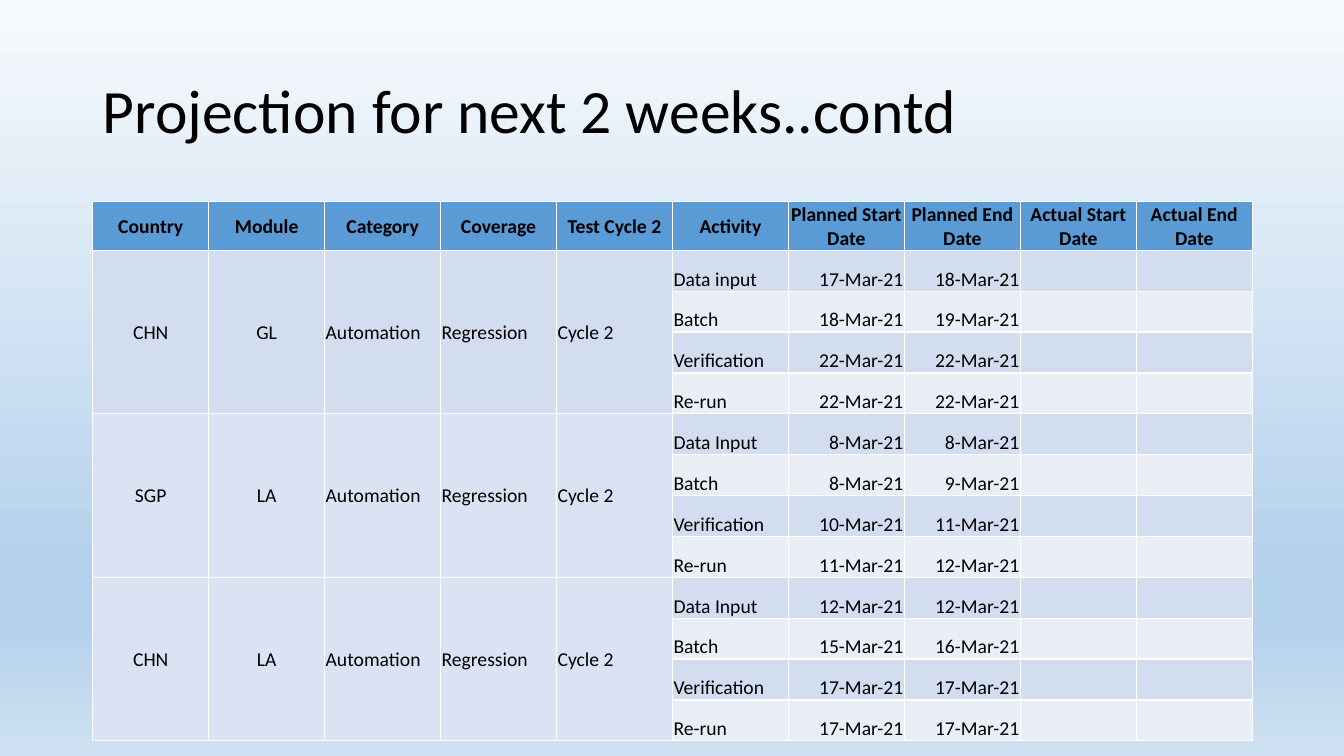
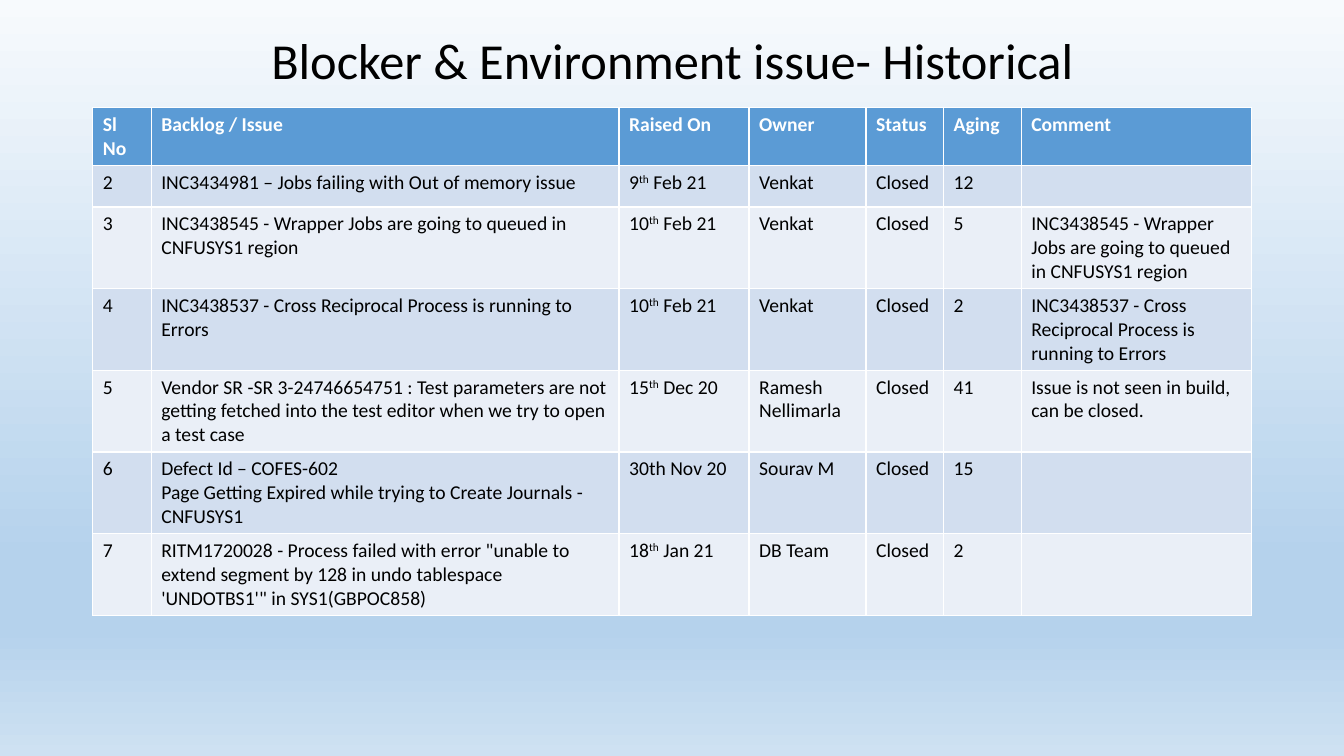
from copy import deepcopy
from pptx import Presentation
from pptx.dml.color import RGBColor as RGB
from pptx.enum.text import MSO_ANCHOR as Anchor, PP_ALIGN as Align
from pptx.util import Inches, Pt

WIDE, HIGH = 13.33, 7.5
LEFT, SPAN = 0.92, 11.5
FONT = "Calibri"
BLACK = RGB(0x00, 0x00, 0x00)
WHITE = RGB(0xFF, 0xFF, 0xFF)
BLUE = RGB(0x5B, 0x9B, 0xD5)
DARK = RGB(0xD2, 0xDE, 0xEF)
PALE = RGB(0xEA, 0xEF, 0xF7)
GROUP = RGB(0xDA, 0xE3, 0xF3)
SKY = [(0, RGB(0xF7, 0xFA, 0xFD)), (0.74, RGB(0xB5, 0xD2, 0xEC)),
       (0.83, RGB(0xB5, 0xD2, 0xEC)), (1, RGB(0xCE, 0xE1, 0xF2))]
TIGHT = (0.01, 0.01, 0.01, 0)
ROOMY = (0.1, 0.05, 0.1, 0.05)

PLAN_HEAD = ["Country", "Module", "Category", "Coverage", "Test Cycle 2",
             "Activity", "Planned Start Date", "Planned End Date",
             "Actual Start Date", "Actual End Date"]
# Country, module, fill, then activity with the planned days of March
PLAN = [
    ("CHN", "GL", DARK, [("Data input", 17, 18), ("Batch", 18, 19),
                         ("Verification", 22, 22), ("Re-run", 22, 22)]),
    ("SGP", "LA", GROUP, [("Data Input", 8, 8), ("Batch", 8, 9),
                          ("Verification", 10, 11), ("Re-run", 11, 12)]),
    ("CHN", "LA", GROUP, [("Data Input", 12, 12), ("Batch", 15, 16),
                          ("Verification", 17, 17), ("Re-run", 17, 17)]),
]
WRAP = "INC3438545 - Wrapper Jobs are going to queued in CNFUSYS1 region"
CROSS = "INC3438537 - Cross Reciprocal Process is running to Errors"
# Text between carets is raised
ISSUES = [
    ["Sl No", "Backlog / Issue", "Raised On", "Owner", "Status", "Aging",
     "Comment"],
    ["2", "INC3434981 – Jobs failing with Out of memory issue",
     "9^th^ Feb 21", "Venkat", "Closed", "12", ""],
    ["3", WRAP, "10^th^ Feb 21", "Venkat", "Closed", "5", WRAP],
    ["4", CROSS, "10^th^ Feb 21", "Venkat", "Closed", "2", CROSS],
    ["5", "Vendor SR -SR 3-24746654751 : Test parameters are not getting "
     "fetched into the test editor when we try to open a test case",
     "15^th^ Dec 20", "Ramesh Nellimarla", "Closed", "41",
     "Issue is not seen in build, can be closed."],
    ["6", "Defect Id – COFES-602\nPage Getting Expired while trying to "
     "Create Journals - CNFUSYS1",
     "30th Nov 20", "Sourav M", "Closed", "15", ""],
    ["7", "RITM1720028 - Process failed with error \"unable to extend segment "
     "by 128 in undo tablespace 'UNDOTBS1'\" in SYS1(GBPOC858)",
     "18^th^ Jan 21", "DB Team", "Closed", "2", ""],
]


def set_sky(deck):
    """Give the master its vertical gradient."""
    fill = deck.slide_master.background.fill
    fill.gradient()
    fill.gradient_angle = 270
    stops = fill.gradient_stops
    first = stops[0]._gs
    for _ in range(len(SKY) - len(stops)):
        first.addnext(deepcopy(first))
    for stop, (place, hue) in zip(fill.gradient_stops, SKY):
        stop.position = place
        stop.color.rgb = hue


def style(par, size, hue, bold=False, align=Align.LEFT):
    """Format one paragraph."""
    par.alignment = align
    font = par.font
    font.name, font.size, font.bold = FONT, Pt(size), bold
    font.color.rgb = hue


def add_page(deck, text, top, tall, size, align):
    """Add a slide with its title."""
    page = deck.slides.add_slide(deck.slide_layouts[5])
    title = page.shapes.title
    title.left, title.top = Inches(LEFT), Inches(top)
    title.width, title.height = Inches(SPAN), Inches(tall)
    frame = title.text_frame
    frame.text = text
    frame.vertical_anchor = Anchor.MIDDLE
    par = frame.paragraphs[0]
    style(par, size, BLACK, align=align)
    par.line_spacing = 0.9
    return page


def add_grid(page, top, cols, rows):
    """Add an empty table with the given widths and heights."""
    grid = page.shapes.add_table(
        len(rows), len(cols), Inches(LEFT), Inches(top),
        Inches(SPAN), Inches(sum(rows))).table
    for col, wide in zip(grid.columns, cols):
        col.width = Inches(wide)
    for row, tall in zip(grid.rows, rows):
        row.height = Inches(tall)
    return grid


def put(cell, text, fill, inset, anchor=Anchor.TOP, align=Align.LEFT,
        hue=BLACK, bold=False):
    """Fill one cell with a colour and its text."""
    cell.fill.solid()
    cell.fill.fore_color.rgb = fill
    (cell.margin_left, cell.margin_top,
     cell.margin_right, cell.margin_bottom) = map(Inches, inset)
    cell.vertical_anchor = anchor
    frame = cell.text_frame
    for i, line in enumerate(text.split("\n")):
        par = frame.add_paragraph() if i else frame.paragraphs[0]
        style(par, 14, hue, bold, align)
        for j, part in enumerate(line.split("^") if line else []):
            run = par.add_run()
            run.text = part
            if j % 2:
                run._r.get_or_add_rPr().set("baseline", "30000")


def band(row):
    """Return the fill of a body row."""
    return DARK if row % 2 else PALE


def add_plan(page):
    """Add the table of planned dates."""
    head, total, count = 0.47, 5.34, sum(len(part[3]) for part in PLAN)
    wide = SPAN / len(PLAN_HEAD)
    grid = add_grid(page, 2, [wide] * len(PLAN_HEAD),
                    [head] + [(total - head) / count] * count)
    for col, text in enumerate(PLAN_HEAD):
        put(grid.cell(0, col), text, BLUE, TIGHT, Anchor.MIDDLE,
            Align.CENTER, bold=True)
    row = 1
    for land, unit, fill, tasks in PLAN:
        labels = [land, unit, "Automation", "Regression", "Cycle 2"]
        for col, text in enumerate(labels):
            cell = grid.cell(row, col)
            cell.merge(grid.cell(row + len(tasks) - 1, col))
            put(cell, text, fill, TIGHT, Anchor.MIDDLE,
                Align.CENTER if col < 2 else Align.LEFT)
        for task, start, end in tasks:
            texts = [task, f"{start}-Mar-21", f"{end}-Mar-21", "", ""]
            for col, text in enumerate(texts):
                put(grid.cell(row, len(labels) + col), text, band(row), TIGHT,
                    Anchor.BOTTOM, Align.RIGHT if col else Align.LEFT)
            row += 1


def add_issues(page):
    """Add the table of past issues."""
    grid = add_grid(page, 1.07, [0.58, 4.64, 1.29, 1.16, 0.77, 0.77, 2.28],
                    [0.57, 0.41] + [0.81] * 5)
    for row, texts in enumerate(ISSUES):
        for col, text in enumerate(texts):
            cell = grid.cell(row, col)
            if row:
                put(cell, text, band(row), ROOMY)
            else:
                put(cell, text, BLUE, ROOMY, hue=WHITE, bold=True)


def main():
    """Build and save the deck."""
    deck = Presentation()
    deck.slide_width, deck.slide_height = Inches(WIDE), Inches(HIGH)
    set_sky(deck)
    add_plan(add_page(deck, "Projection for next 2 weeks..contd",
                      0.4, 1.45, 44, Align.LEFT))
    add_issues(add_page(deck, "Blocker & Environment issue- Historical",
                        0.05, 1.15, 36, Align.CENTER))
    deck.save("out.pptx")


main()
